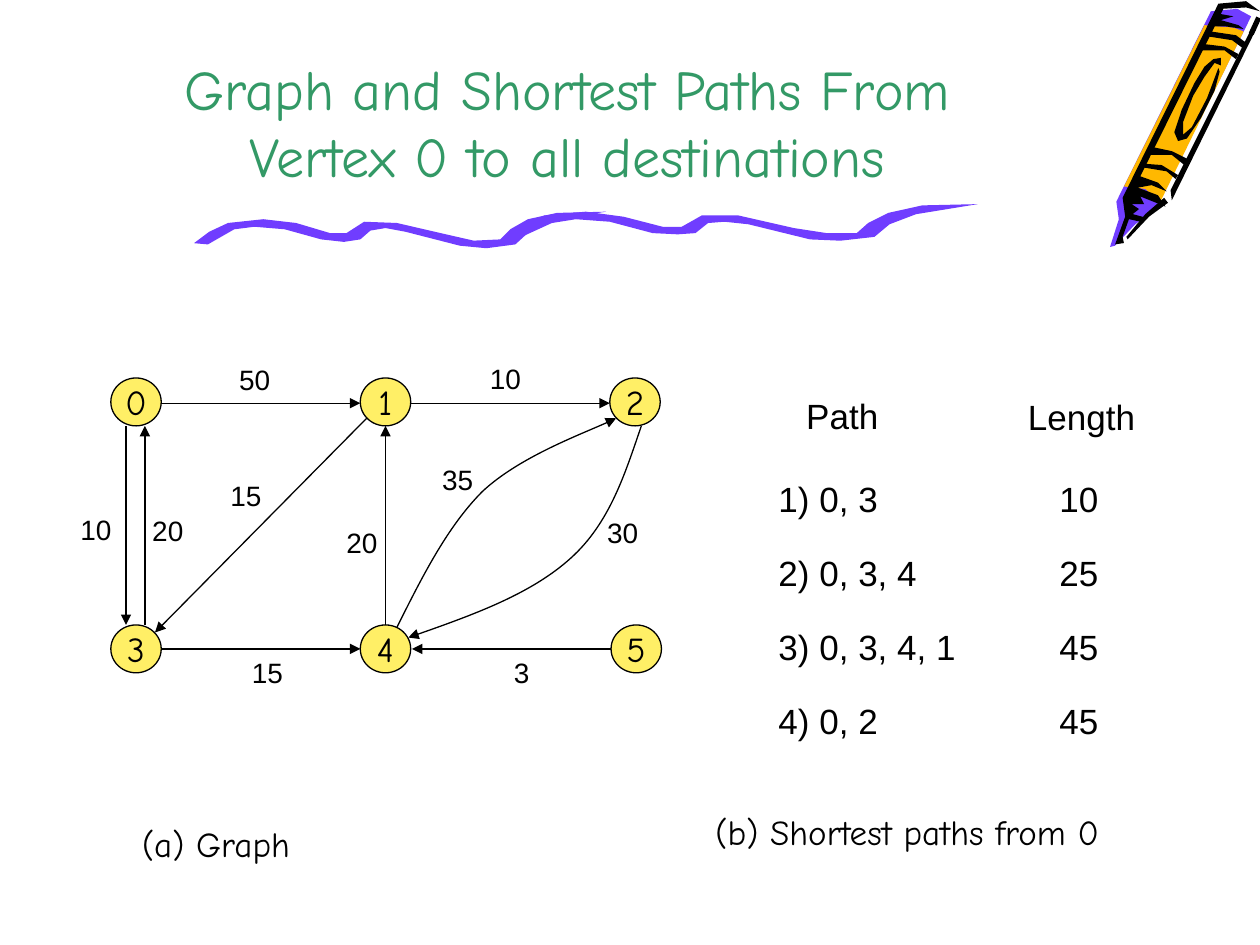
from dataclasses import dataclass
from typing import NamedTuple

from lxml import etree
from pptx import Presentation
from pptx.dml.color import RGBColor
from pptx.enum.shapes import MSO_CONNECTOR, MSO_SHAPE
from pptx.enum.text import MSO_ANCHOR, MSO_AUTO_SIZE, PP_ALIGN
from pptx.oxml.ns import qn
from pptx.util import Cm, Pt

STRAIGHT = MSO_CONNECTOR.STRAIGHT
OVAL = MSO_SHAPE.OVAL
MIDDLE, BOTTOM = MSO_ANCHOR.MIDDLE, MSO_ANCHOR.BOTTOM
NO_FIT = MSO_AUTO_SIZE.NONE
CENTER, LEFT = PP_ALIGN.CENTER, PP_ALIGN.LEFT


@dataclass(frozen=True)
class Theme:
    ink: RGBColor = RGBColor(0, 0, 0)
    green: RGBColor = RGBColor(0x33, 0x99, 0x66)
    purple: RGBColor = RGBColor(0x70, 0x3D, 0xFF)
    orange: RGBColor = RGBColor(0xFF, 0xB8, 0x00)
    yellow: RGBColor = RGBColor(0xFF, 0xEF, 0x66)
    hand: str = "Comic Neue"
    plain: str = "Arial"
    title: int = 32
    body: int = 20
    weight: int = 16
    thin: float = 0.75
    thick: float = 3


THEME = Theme()
Point = tuple[float, float]


class Node(NamedTuple):
    text: str
    left: float
    top: float


class Edge(NamedTuple):
    start: Point
    end: Point


class Label(NamedTuple):
    text: str
    left: float
    top: float
    width: float
    height: float = 0.44
    font: str = THEME.plain
    size: int = THEME.body


class Patch(NamedTuple):
    color: RGBColor
    points: str


NODE_W, NODE_H = 0.4, 0.38
TOP_ROW, LOW_ROW = 3, 4.96
NODES = [Node("0", 0.88, TOP_ROW), Node("1", 2.86, TOP_ROW), Node("2", 4.84, TOP_ROW),
         Node("3", 0.88, LOW_ROW), Node("4", 2.86, LOW_ROW), Node("5", 4.85, LOW_ROW)]
EDGES = [Edge((1.28, 3.2), (2.86, 3.2)), Edge((3.26, 3.2), (4.84, 3.2)),
         Edge((1.28, 5.15), (2.86, 5.15)), Edge((4.85, 5.15), (3.27, 5.15)),
         Edge((1, 3.38), (1, 4.96)), Edge((1.15, 4.96), (1.15, 3.38)),
         Edge((3.06, 4.96), (3.06, 3.38)), Edge((2.91, 3.32), (1.23, 5.02))]
CURVES = ["509,338 496,376 484,415 453,443 422,471 373,489 324,506",
          "315,498 335,458 355,418 383,390 412,363 471,341 489,332"]
WEIGHTS = [("10", 0.54, 4.02), ("20", 1.11, 4.03), ("50", 1.8, 2.83), ("15", 1.73, 3.75),
           ("20", 2.65, 4.12), ("10", 3.79, 2.82), ("35", 3.41, 3.62), ("30", 4.72, 4.04),
           ("3", 3.98, 5.15), ("15", 1.9, 5.15)]
ROUTES = [("1) 0, 3", "10"), ("2) 0, 3, 4", "25"), ("3) 0, 3, 4, 1", "45"), ("4) 0, 2", "45")]
ROUTE_TOP, ROUTE_STEP = 3.74, 0.587
HEADS = [Label("Path", 6.3, 3.08, 0.92), Label("Length", 8.06, 3.09, 1.11),
         Label("(a) Graph", 1.03, 6.48, 1.56, font=THEME.hand),
         Label("(b) Shortest paths from 0", 5.58, 6.38, 3.99, font=THEME.hand)]
CRAYON = [
    Patch(THEME.purple, "993,13 917,166 901,178 885,195 881,196 888,174 886,160 961,9 982,7"),
    Patch(THEME.orange, "921,160 909,150 892,148 956,20 979,22 987,25"),
    Patch(THEME.ink, "927,161 912,172 895,190 894,188 909,170 924,157"),
    Patch(THEME.ink, "987,23 973,21 961,21 968,11 979,13 969,16 983,20"),
    Patch(THEME.ink, "968,57 964,72 953,94 942,110 935,112 932,105 938,87 948,66 956,53 963,47 "
                     "969,46 969,52 964,50 956,61 947,76 939,97 939,107 946,101 958,78 967,54"),
    Patch(THEME.ink, "997,23 930,159 929,151 993,23"),
    Patch(THEME.ink, "925,164 919,155 903,149 914,147 926,152 919,145 905,140 971,7 989,6 1000,9 "
                     "989,1 967,3 891,157 893,172 885,194 892,193 891,188 896,174 905,176 910,173 "
                     "899,170 904,166 898,162 908,162 905,156"),
    Patch(THEME.ink, "933,142 926,136 908,133 909,130 922,131 935,139"),
    Patch(THEME.ink, "940,131 930,123 913,123 916,117 930,120 942,126"),
    Patch(THEME.ink, "981,47 972,40 953,40 956,35 972,37 983,43"),
    Patch(THEME.ink, "986,38 978,32 959,29 961,25 981,28 989,34"),
]
CRAYON_EDGE = Edge((9.99, 0.14), (9.93, 0.27))
WAVES = [
    Patch(THEME.purple, "165,194 186,182 202,180 226,182 255,190 273,192 286,190 294,183 306,181 "
                        "322,184 365,195 386,197 409,194 420,184 438,175 481,168 442,169 419,174 "
                        "405,182 397,190 376,191 354,186 315,177 289,176 275,185 262,185 235,177 "
                        "209,174 181,177 166,184 154,193"),
    Patch(THEME.purple, "414,188 438,177 457,174 484,176 518,185 538,186 552,185 562,177 575,176 "
                        "594,178 643,190 667,191 694,188 706,178 727,170 776,162 732,163 705,169 "
                        "689,177 680,185 656,185 630,181 586,171 557,171 541,180 526,180 495,172 "
                        "465,168 432,171 415,178 401,188"),
]


def inch(value: float) -> Cm:
    return Cm(value * 2.54)


def place(*values: float) -> list[Cm]:
    return [inch(value) for value in values]


def write(shape, text: str, font: str, size: int, color: RGBColor, align=LEFT) -> None:
    frame = shape.text_frame
    frame.text = text
    para = frame.paragraphs[0]
    para.alignment = align
    face = para.runs[0].font
    face.name, face.size = font, Pt(size)
    face.color.rgb = color


def stroke(shape, width: float, arrow: bool) -> None:
    shape.line.color.rgb = THEME.ink
    shape.line.width = Pt(width)
    if arrow:
        line = shape._element.spPr.get_or_add_ln()
        etree.SubElement(line, qn("a:tailEnd"), type="triangle")


def outline(shapes, points: str, close: bool):
    first, *rest = [tuple(map(int, pair.split(","))) for pair in points.split()]
    pen = shapes.build_freeform(*first, scale=inch(0.01))
    pen.add_line_segments(rest, close=close)
    shape = pen.convert_to_shape()
    shape.shadow.inherit = False
    return shape


def draw_patch(shapes, patch: Patch) -> None:
    shape = outline(shapes, patch.points, True)
    shape.fill.solid()
    shape.fill.fore_color.rgb = patch.color
    shape.line.fill.background()


def draw_curve(shapes, points: str) -> None:
    shape = outline(shapes, points, False)
    shape.fill.background()
    stroke(shape, THEME.thin, True)
    track = next(shape._element.iter(qn("a:path")))
    steps = track.findall(qn("a:lnTo"))
    for start in range(0, len(steps), 3):
        bend = etree.SubElement(track, qn("a:cubicBezTo"))
        for step in steps[start:start + 3]:
            bend.append(step[0])
            track.remove(step)


def draw_edge(shapes, edge: Edge, width: float = THEME.thin, arrow: bool = True) -> None:
    line = shapes.add_connector(STRAIGHT, *place(*edge.start, *edge.end))
    stroke(line, width, arrow)
    etree.SubElement(line._element.spPr, qn("a:effectLst"))


def draw_node(shapes, node: Node) -> None:
    shape = shapes.add_shape(OVAL, *place(node.left, node.top, NODE_W, NODE_H))
    shape.shadow.inherit = False
    shape.fill.solid()
    shape.fill.fore_color.rgb = THEME.yellow
    stroke(shape, THEME.thin, False)
    write(shape, node.text, THEME.hand, THEME.body, THEME.ink, CENTER)
    shape.text_frame.word_wrap = False
    shape.text_frame.vertical_anchor = MIDDLE


def draw_label(shapes, label: Label) -> None:
    box = shapes.add_textbox(*place(label.left, label.top, label.width, label.height))
    box.text_frame.word_wrap = True
    write(box, label.text, label.font, label.size, THEME.ink)


def draw_title(title) -> None:
    title.left, title.top, title.width, title.height = place(0.75, 0, 7.51, 1.55)
    write(title, "Graph and Shortest Paths From Vertex 0 to all destinations",
          THEME.hand, THEME.title, THEME.green, CENTER)
    title.text_frame.vertical_anchor = BOTTOM
    title.text_frame.auto_size = NO_FIT


def main() -> None:
    deck = Presentation()
    deck.slide_width, deck.slide_height = place(10, 7.5)
    slide = deck.slides.add_slide(deck.slide_layouts[5])
    shapes = slide.shapes
    draw_title(shapes.title)
    for patch in CRAYON + WAVES:
        draw_patch(shapes, patch)
    draw_edge(shapes, CRAYON_EDGE, THEME.thick, False)
    for node in NODES:
        draw_node(shapes, node)
    for edge in EDGES:
        draw_edge(shapes, edge)
    for curve in CURVES:
        draw_curve(shapes, curve)
    labels = [Label(*weight, 0.51, 0.37, size=THEME.weight) for weight in WEIGHTS] + HEADS
    for row, (route, length) in enumerate(ROUTES):
        top = ROUTE_TOP + row * ROUTE_STEP
        labels += [Label(route, 6.08, top, 1.75), Label(length, 8.31, top, 0.68)]
    for label in labels:
        draw_label(shapes, label)
    deck.save("out.pptx")


if __name__ == "__main__":
    main()
